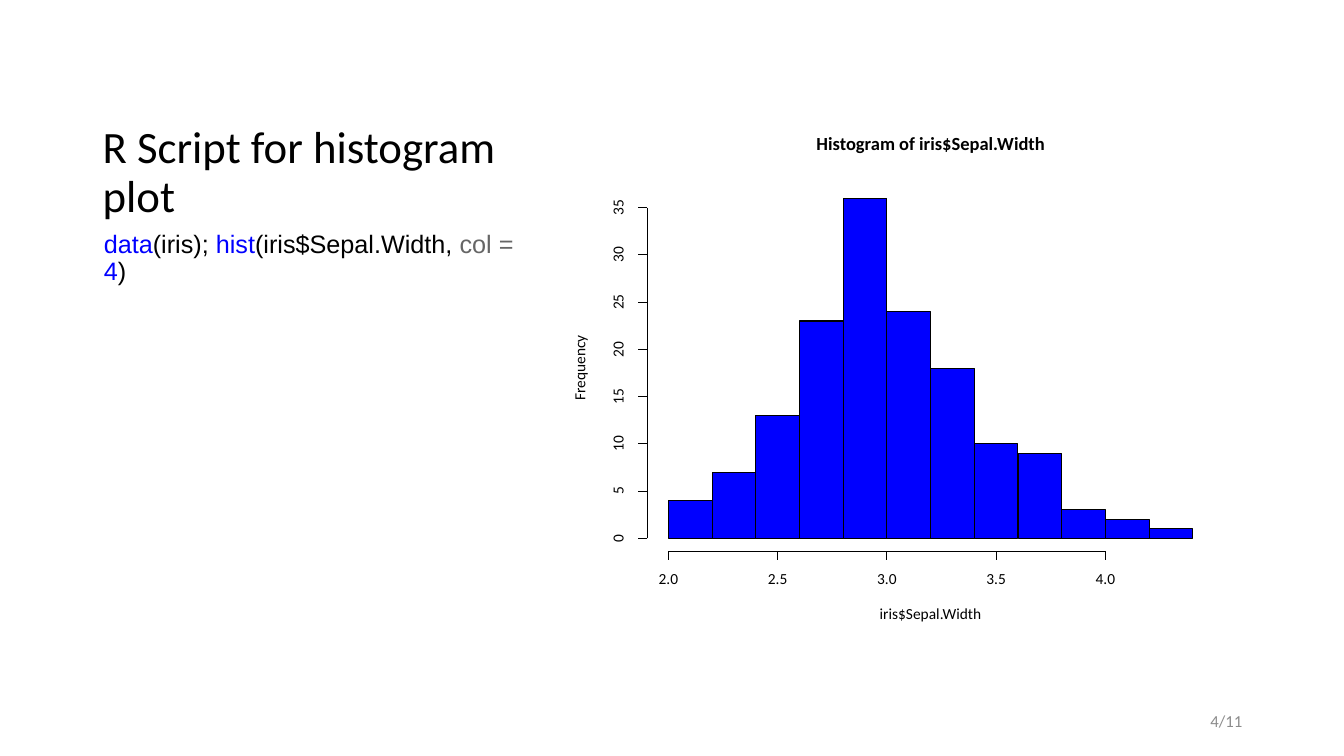
from pptx import Presentation
from pptx.dml.color import RGBColor as RGB
from pptx.enum.shapes import MSO_CONNECTOR as LINK, MSO_SHAPE as SHAPE
from pptx.enum.text import MSO_ANCHOR as ANCHOR, PP_ALIGN as ALIGN
from pptx.oxml.ns import qn
from pptx.util import Inches, Pt
from lxml.etree import SubElement

COLORS = {"black": "000000", "blue": "0000FF", "gray": "666666", "pale": "8C8C8C"}
COUNTS = [4, 7, 13, 23, 36, 24, 18, 10, 9, 3, 2, 1]
LOW, BIN = 2.0, 0.2
PEAK = 35
TICK = 0.09
CODE = [
    ("data", "blue"), ("(iris); ", "black"), ("hist", "blue"),
    ("(iris$Sepal.Width, ", "black"), ("col = ", "gray"), ("4", "blue"), (")", "black"),
]


def tint(name):
    return RGB.from_string(COLORS[name])


def assign(target, values):
    for name, value in values.items():
        setattr(target, name, value)


def add_text(slide, box, runs, size, font="Calibri", bold=False, frame=None, para=None):
    shape = slide.shapes.add_textbox(*map(Inches, box))
    text = shape.text_frame
    assign(text, {"word_wrap": True, **(frame or {})})
    line = text.paragraphs[0]
    assign(line, para or {})
    for words, color in runs:
        run = line.add_run()
        run.text = words
        assign(run.font, {"size": Pt(size), "name": font, "bold": bold})
        run.font.color.rgb = tint(color)
    return shape


def add_label(slide, x, y, words, size=11, bold=False, turn=0):
    wide, high = 0.11 * len(words), 0.18
    sides = ("left", "top", "right", "bottom")
    frame = {f"margin_{side}": 0 for side in sides}
    frame.update(word_wrap=False, vertical_anchor=ANCHOR.MIDDLE)
    label = add_text(
        slide, (x - wide / 2, y - high / 2, wide, high), [(words, "black")], size,
        bold=bold, frame=frame, para={"alignment": ALIGN.CENTER, "line_spacing": Pt(size)},
    )
    label.rotation = turn


def add_line(slide, *ends):
    line = slide.shapes.add_connector(LINK.STRAIGHT, *map(Inches, ends))
    line.line.color.rgb = tint("black")
    line.line.width = Pt(0.75)
    SubElement(line._element.spPr, qn("a:effectLst"))


def add_bars(slide, box):
    left, top, width, height = box
    step, unit = width / len(COUNTS), height / PEAK
    for i, count in enumerate(COUNTS):
        tall = count * unit
        place = (left + i * step, top + height - tall, step, tall)
        bar = slide.shapes.add_shape(SHAPE.RECTANGLE, *map(Inches, place))
        bar.shadow.inherit = False
        bar.fill.solid()
        bar.fill.fore_color.rgb = tint("blue")
        bar.line.color.rgb = tint("black")
        bar.line.width = Pt(0.75)


def add_axes(slide, box):
    left, top, width, height = box
    base, inch = top + height, width / len(COUNTS) / BIN
    rule = base + 0.13
    add_line(slide, left, rule, left + 2 * inch, rule)
    for i in range(5):
        x = left + i * 0.5 * inch
        add_line(slide, x, rule, x, rule + TICK)
        add_label(slide, x, base + 0.41, f"{LOW + i * 0.5:.1f}")
    side = left - 0.21
    add_line(slide, side, base, side, top)
    for count in range(0, PEAK + 1, 5):
        y = base - count * height / PEAK
        add_line(slide, side, y, side - TICK, y)
        add_label(slide, left - 0.49, y, str(count), turn=270)


def add_plot(slide, box):
    left, top, width, height = box
    mid = left + width / 2
    add_label(slide, mid, top - 0.62, "Histogram of iris$Sepal.Width", 13.2, bold=True)
    add_label(slide, mid, top + height + 0.76, "iris$Sepal.Width")
    add_label(slide, left - 0.87, top + 1.59, "Frequency", turn=270)
    add_axes(slide, box)
    add_bars(slide, box)


def add_script(slide, box):
    left, top, width, height = box
    head = 1.75
    add_text(
        slide, (left, top, width, head), [("R Script for histogram plot", "black")], 32,
        frame={"vertical_anchor": ANCHOR.BOTTOM}, para={"line_spacing": 0.9},
    )
    add_text(
        slide, (left, top + head, width, height - head), CODE, 18, "Arial",
        frame={"margin_left": Inches(0.11)},
        para={"line_spacing": 0.9, "space_before": Pt(1), "space_after": Pt(1)},
    )


def add_footer(slide, box):
    add_text(
        slide, box, [("4/11", "pale")], 12,
        frame={"vertical_anchor": ANCHOR.MIDDLE}, para={"alignment": ALIGN.RIGHT},
    )


def main():
    deck = Presentation()
    assign(deck, {"slide_width": Inches(13.33), "slide_height": Inches(7.5)})
    slide = deck.slides.add_slide(deck.slide_layouts[6])
    add_script(slide, (0.92, 0.5, 4.3, 5.92))
    add_plot(slide, (6.63, 2.06, 5.2, 3.28))
    add_footer(slide, (9.42, 6.95, 3, 0.4))
    deck.save("out.pptx")


if __name__ == "__main__":
    main()
